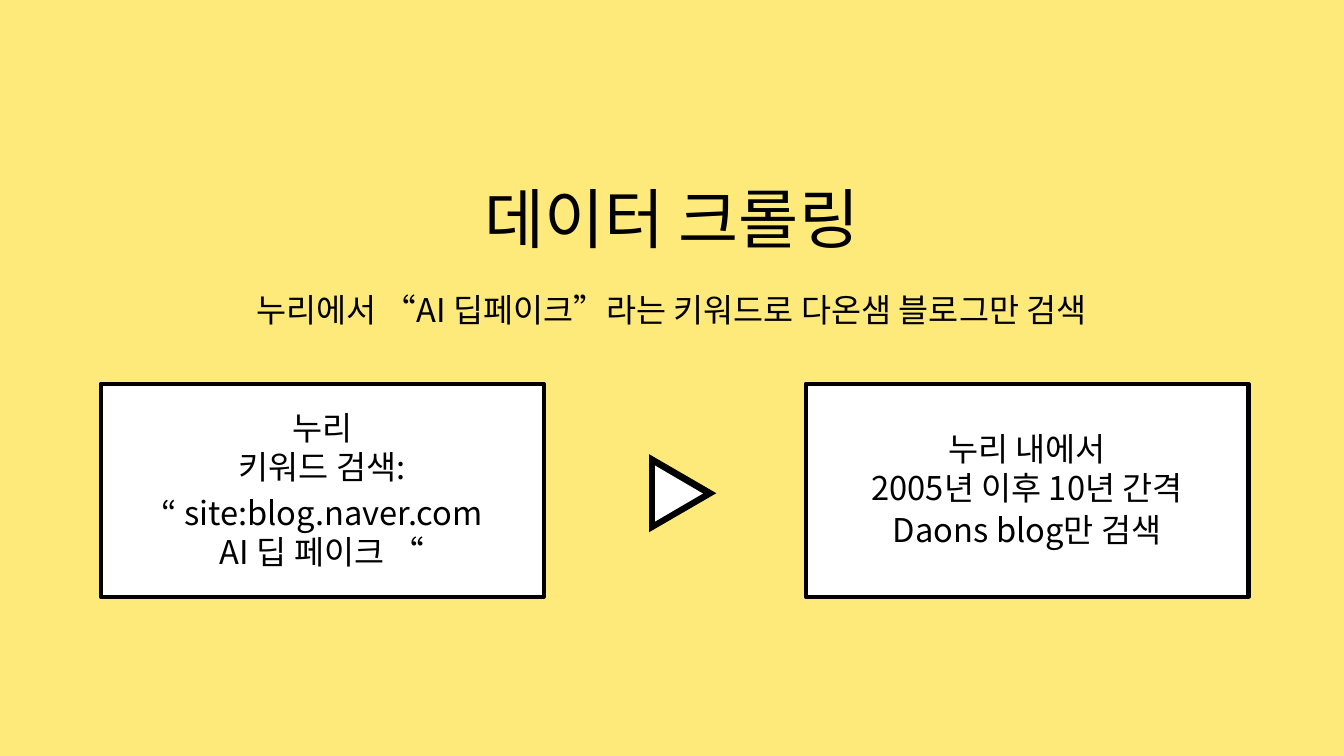
import pptx
import pptx.dml.color
import pptx.enum.shapes
import pptx.enum.text
import pptx.oxml.ns
import pptx.util
from lxml import etree

COLUMNS, ROWS = 20, 11.25
CELL = pptx.util.Inches(1)
FONT = "Noto Sans CJK KR"
BLACK, WHITE, YELLOW = "000000", "FFFFFF", "FEEA7B"

HEADING_LEFT, HEADING_WIDTH = 2.76, 14.47
CARD_TOP, CARD_WIDTH, CARD_HEIGHT = 5.71, 6.59, 3.17
CARD_PADDING = 0.25
BODY_SIZE, BODY_SPACING = 35, 42


def grid(*cells):
    """Turn columns and rows of the slide grid into lengths."""
    return [round(cell * CELL) for cell in cells]


def paint(fill, colour):
    fill.solid()
    fill.fore_color.rgb = pptx.dml.color.RGBColor.from_string(colour)


def add_text(shapes, left, top, width, lines, size=BODY_SIZE, spacing=BODY_SPACING):
    height = len(lines) * spacing / 72
    frame = shapes.add_textbox(*grid(left, top, width, height)).text_frame
    frame.margin_left = frame.margin_right = 0
    frame.margin_top = frame.margin_bottom = 0
    frame.word_wrap = True
    frame.auto_size = pptx.enum.text.MSO_AUTO_SIZE.SHAPE_TO_FIT_TEXT
    frame.text = "\n".join(lines)
    for paragraph in frame.paragraphs:
        paragraph.alignment = pptx.enum.text.PP_ALIGN.CENTER
        paragraph.line_spacing = pptx.util.Pt(spacing)
        for run in paragraph.runs:
            run.font.size = pptx.util.Pt(size)
            run.font.name = FONT
            paint(run.font.fill, BLACK)
            east_asian = etree.SubElement(run.font._element, pptx.oxml.ns.qn("a:ea"))
            east_asian.set("typeface", FONT)


def add_filled(shapes, kind, area, colour):
    shape = shapes.add_shape(kind, *grid(*area))
    shape.shadow.inherit = False
    paint(shape.fill, colour)
    shape.line.fill.background()
    return shape


def add_card(slide, left, blocks):
    """Add a framed card; blocks pairs each text's top row with its lines."""
    shapes = slide.shapes.add_group_shape().shapes
    frame = add_filled(shapes, pptx.enum.shapes.MSO_SHAPE.RECTANGLE,
                       (left, CARD_TOP, CARD_WIDTH, CARD_HEIGHT), WHITE)
    paint(frame.line.fill, BLACK)
    frame.line.width = pptx.util.Pt(4.5)
    for top, lines in blocks:
        add_text(shapes, left + CARD_PADDING, top,
                 CARD_WIDTH - 2 * CARD_PADDING, lines)


def add_step_marker(slide):
    """Add the outlined triangle that points from one card to the next."""
    shapes = slide.shapes.add_group_shape().shapes
    for area, colour in (((9.58, 6.84, 1.16, 1), BLACK),
                         ((9.69, 6.99, 0.83, 0.71), WHITE)):
        triangle = add_filled(
            shapes, pptx.enum.shapes.MSO_SHAPE.ISOSCELES_TRIANGLE, area, colour)
        triangle.rotation = 90


def main():
    deck = pptx.Presentation()
    deck.slide_width, deck.slide_height = grid(COLUMNS, ROWS)
    slide = deck.slides.add_slide(deck.slide_layouts[6])
    paint(slide.background.fill, YELLOW)

    add_text(slide.shapes, HEADING_LEFT, 2.75, HEADING_WIDTH,
             ["데이터 크롤링"], size=70, spacing=77)
    add_text(slide.shapes, HEADING_LEFT, 4.31, HEADING_WIDTH,
             ["누리에서 “AI 딥페이크”라는 키워드로 다온샘 블로그만 검색"])
    add_step_marker(slide)
    add_card(slide, 1.5, [
        (6.07, ["누리", "키워드 검색:"]),
        (7.33, ["“ site:blog.naver.com", "AI 딥 페이크 “"]),
    ])
    add_card(slide, 11.99, [
        (6.38, ["누리 내에서", "2005년 이후 10년 간격"]),
        (7.59, ["Daons blog만 검색"]),
    ])
    deck.save("out.pptx")


if __name__ == "__main__":
    main()
